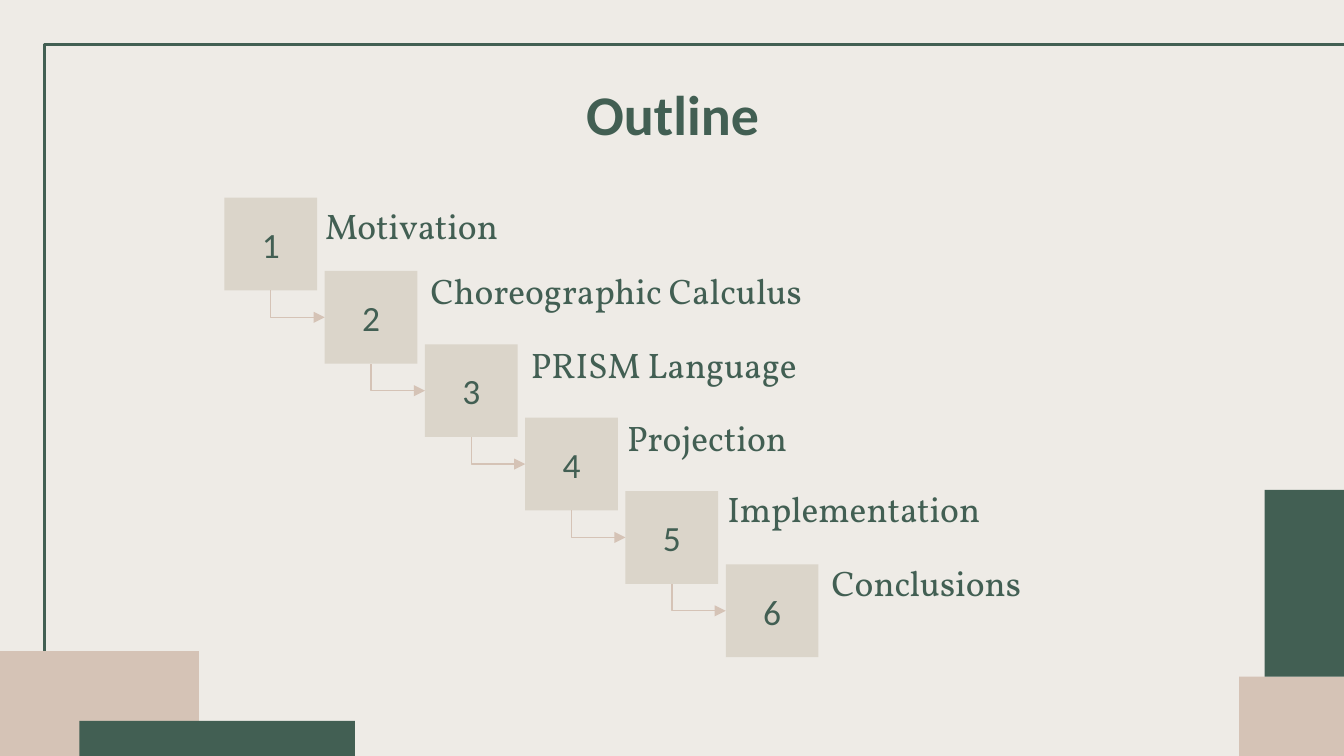
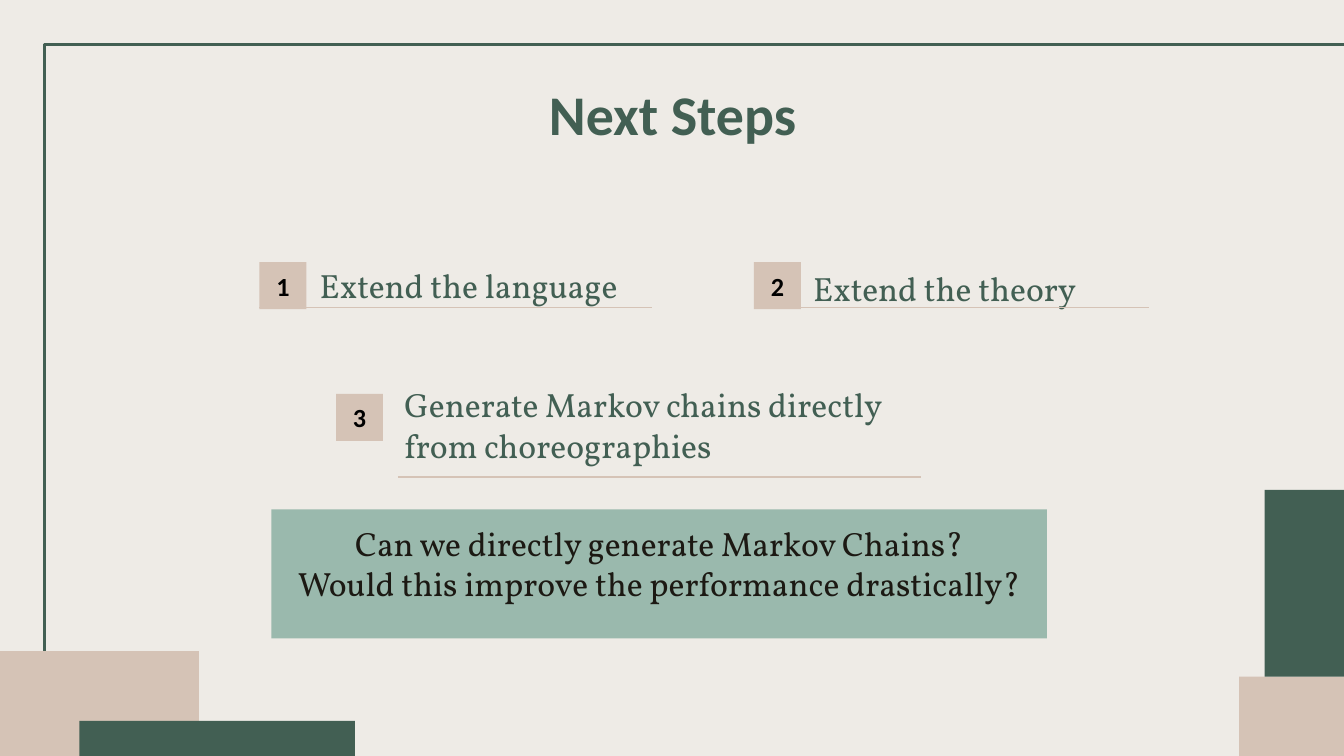
from lxml import etree
from pptx import Presentation
from pptx.dml.color import RGBColor
from pptx.enum.shapes import MSO_CONNECTOR, MSO_SHAPE
from pptx.enum.text import MSO_ANCHOR, MSO_AUTO_SIZE, PP_ALIGN
from pptx.oxml.ns import qn
from pptx.util import Inches, Pt

RECTANGLE = MSO_SHAPE.RECTANGLE
STRAIGHT, ELBOW = MSO_CONNECTOR.STRAIGHT, MSO_CONNECTOR.ELBOW
TOP, MIDDLE, BOTTOM = MSO_ANCHOR.TOP, MSO_ANCHOR.MIDDLE, MSO_ANCHOR.BOTTOM
LEFT, CENTER = PP_ALIGN.LEFT, PP_ALIGN.CENTER
LEFT_SIDE, BOTTOM_SIDE = 1, 2

PAPER = RGBColor(0xEE, 0xEB, 0xE6)
GREEN = RGBColor(0x42, 0x5F, 0x53)
ROSE = RGBColor(0xD5, 0xC3, 0xB6)
SAND = RGBColor(0xDB, 0xD5, 0xCA)
MINT = RGBColor(0x9A, 0xB9, 0xAD)
INK = RGBColor(0x1C, 0x19, 0x13)
BLACK = RGBColor(0, 0, 0)
SANS, SERIF = "Calibri", "Vollkorn"

WIDTH = 10
HEIGHT = WIDTH * 9 / 16
FRAME_POINTS = [(0.33, 5.77), (0.33, 0.33), (10.06, 0.33)]
CORNER_BLOCKS = [  # left, width, height, gap to the slide's bottom, colour
    (9.22, 0.78, 0.59, 0, ROSE),
    (9.41, 0.59, 1.39, 0.59, GREEN),
    (0, 1.48, 0.78, 0, ROSE),
    (0.59, 2.05, 0.26, 0, GREEN),
]

OUTLINE = [  # topic, label width, label shift from the top right of its box
    ("Motivation", 1.62, -0.04, -0.07),
    ("Choreographic Calculus", 3.57, 0, -0.13),
    ("PRISM Language", 3.57, 0, -0.13),
    ("Projection", 1.62, -0.03, -0.13),
    ("Implementation", 2.56, -0.03, -0.15),
    ("Conclusions", 2.56, 0, -0.14),
]
FIRST_BOX, LAST_BOX, BOX_SIZE, LABEL_HEIGHT = (1.67, 1.47), (5.4, 4.2), 0.69, 0.55

NEXT_STEPS = [  # text, badge corner, label box, label indent, underline (from, to, height)
    ("Extend the language", (1.93, 1.95), (2.28, 1.98, 3.26, 0.39), 0, (1.93, 4.85, 2.29)),
    ("Extend the theory", (5.61, 1.95), (5.8, 2, 2.75, 0.39), 0.15, (5.72, 8.55, 2.29)),
    ("Generate Markov chains directly from choreographies",
     (2.5, 2.93), (2.91, 2.8, 4.19, 0.76), 0, (2.96, 6.85, 3.55)),
]
BADGE_SIZE = 0.35
QUESTIONS = [
    "Can we directly generate Markov Chains?",
    "Would this improve the performance drastically?",
]
QUESTION_BOX = (2.02, 3.79, 5.77, 0.96)


def write(shape, lines, size, font, color, align=LEFT, anchor=MIDDLE, bold=False, indent=0):
    frame = shape.text_frame
    frame.text = "\n".join(lines)
    frame.word_wrap = True
    frame.auto_size = MSO_AUTO_SIZE.NONE
    frame.vertical_anchor = anchor
    frame.margin_top = frame.margin_right = frame.margin_bottom = Inches(0.1)
    frame.margin_left = Inches(0.1 + indent)
    for paragraph in frame.paragraphs:
        paragraph.alignment = align
        for run in paragraph.runs:
            run.font.size, run.font.name, run.font.bold = Pt(size), font, bold
            run.font.color.rgb = color


def add_block(slide, left, top, width, height, color):
    block = slide.shapes.add_shape(RECTANGLE, *map(Inches, (left, top, width, height)))
    block.shadow.inherit = False
    block.fill.solid()
    block.fill.fore_color.rgb = color
    block.line.fill.background()
    return block


def add_label(slide, box, text, size, **style):
    label = slide.shapes.add_textbox(*map(Inches, box))
    write(label, [text], size, SERIF, GREEN, **style)


def add_line(slide, kind, start, end):
    line = slide.shapes.add_connector(kind, *map(Inches, start + end))
    line.line.color.rgb = ROSE
    line.line.width = Pt(0.75)
    etree.SubElement(line._element.spPr, qn("a:effectLst"))
    return line


def join_boxes(slide, box, next_box):
    """Draw an L from the next box's left side to this box's bottom, arrow at the next box."""
    arrow = add_line(slide, ELBOW, (0, 0), (0, 0))
    arrow.begin_connect(next_box, LEFT_SIDE)
    arrow.end_connect(box, BOTTOM_SIDE)
    properties = arrow._element.spPr
    properties.find(qn("a:prstGeom")).set("prst", "bentConnector2")
    transform = properties.find(qn("a:xfrm"))
    for flip in ("flipH", "flipV"):
        transform.attrib.pop(flip, None)
    transform.set("rot", "10800000")
    etree.SubElement(properties.find(qn("a:ln")), qn("a:headEnd"), type="triangle")


def decorate_layout(layout, slide):
    """Draw the frame and corner blocks on the slide, then move them to its layout."""
    layout.background.fill.solid()
    layout.background.fill.fore_color.rgb = PAPER
    for placeholder in list(layout.placeholders)[1:]:
        placeholder._element.getparent().remove(placeholder._element)
    points = [(Inches(x), Inches(y)) for x, y in FRAME_POINTS]
    builder = slide.shapes.build_freeform(*points[0])
    builder.add_line_segments(points[1:], close=False)
    frame = builder.convert_to_shape()
    frame.shadow.inherit = False
    frame.fill.background()
    frame.line.color.rgb = GREEN
    frame.line.width = Pt(1.5)
    blocks = [add_block(slide, left, HEIGHT - gap - height, width, height, color)
              for left, width, height, gap, color in CORNER_BLOCKS]
    for shape in [frame] + blocks:
        layout.shapes._spTree.append(shape._element)


def set_title(slide, text, height):
    title = slide.shapes.title
    title.left, title.top, title.width, title.height = map(Inches, (0.79, 0.49, 8.43, height))
    write(title, [text], 30, SANS, GREEN, CENTER, TOP, bold=True)


def fill_outline(slide):
    set_title(slide, "Outline", 0.63)
    steps = len(OUTLINE) - 1
    step_x, step_y = ((last - first) / steps for first, last in zip(FIRST_BOX, LAST_BOX))
    boxes = []
    for index, (topic, width, shift_x, shift_y) in enumerate(OUTLINE):
        left, top = FIRST_BOX[0] + index * step_x, FIRST_BOX[1] + index * step_y
        box = add_block(slide, left, top, BOX_SIZE, BOX_SIZE, SAND)
        write(box, [str(index + 1)], 19, SANS, GREEN, CENTER)
        boxes.append(box)
        add_label(slide, (left + BOX_SIZE + shift_x, top + shift_y, width, LABEL_HEIGHT),
                  topic, 19)
    for box, next_box in zip(boxes, boxes[1:]):
        join_boxes(slide, box, next_box)


def fill_next_steps(slide):
    set_title(slide, "Next Steps", 1.11)
    question_block = add_block(slide, *QUESTION_BOX, MINT)
    write(question_block, QUESTIONS, 18, SERIF, INK, CENTER, TOP)
    for number, (text, corner, box, indent, underline) in enumerate(NEXT_STEPS, 1):
        add_label(slide, box, text, 18, anchor=BOTTOM, indent=indent)
        start, end, height = underline
        add_line(slide, STRAIGHT, (start, height), (end, height))
        badge = add_block(slide, *corner, BADGE_SIZE, BADGE_SIZE, ROSE)
        write(badge, [str(number)], 14, SANS, BLACK, CENTER, bold=True)


def main():
    presentation = Presentation()
    presentation.slide_width, presentation.slide_height = Inches(WIDTH), Inches(HEIGHT)
    layout = presentation.slide_layouts.get_by_name("Title Only")
    outline = presentation.slides.add_slide(layout)
    decorate_layout(layout, outline)
    fill_outline(outline)
    fill_next_steps(presentation.slides.add_slide(layout))
    presentation.save("out.pptx")


if __name__ == "__main__":
    main()
